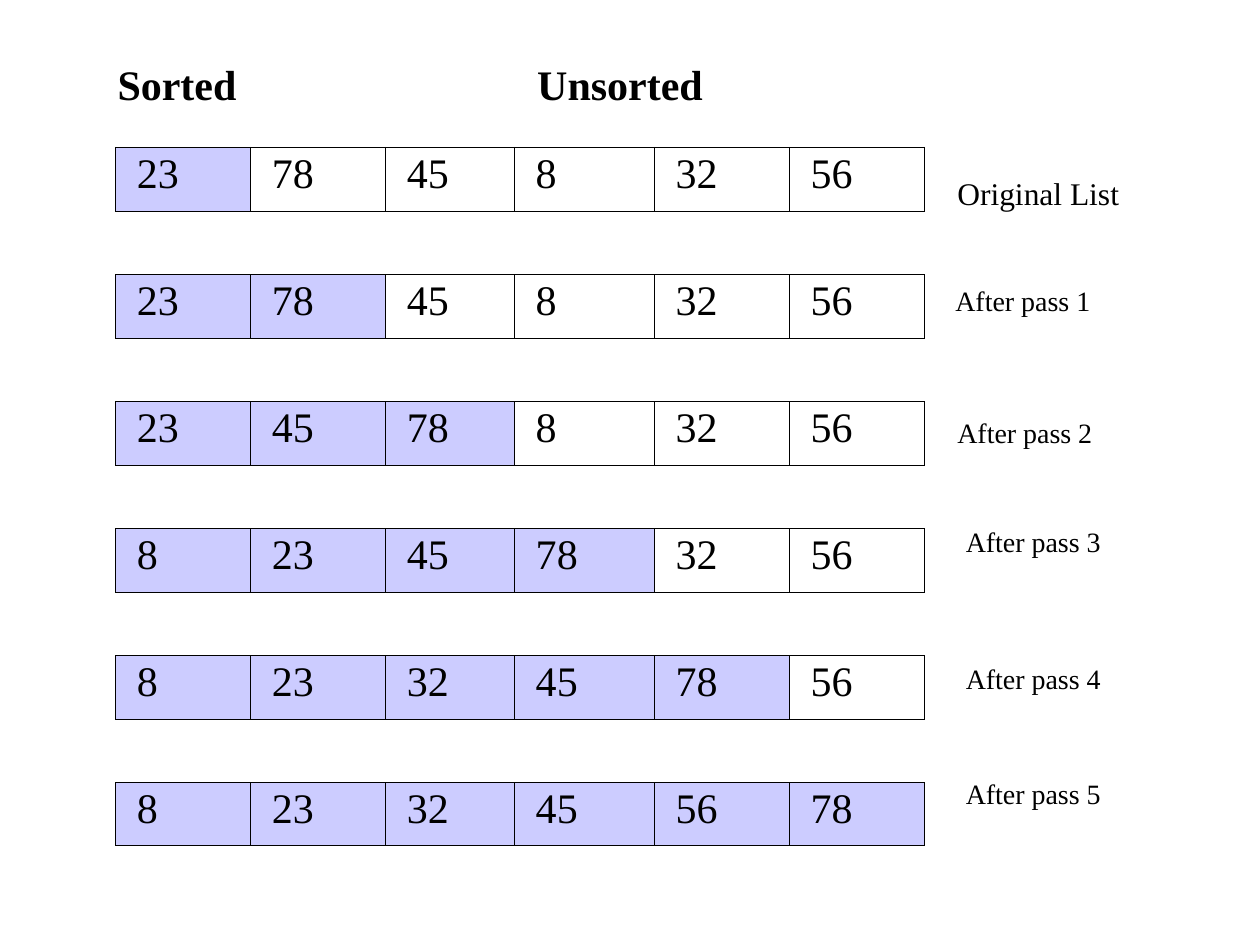
"""Builds a slide that traces an insertion sort pass by pass."""
from lxml import etree
from pptx import Presentation
from pptx.dml.color import RGBColor
from pptx.oxml.ns import qn
from pptx.util import Cm, Pt

FONT = "Times New Roman"
BLACK = "000000"
SORTED_FILL = "CCCCFF"
NO_STYLE = "{2D5ABB26-0587-4C30-8999-92F81FD0307C}"
NUMBERS = [23, 78, 45, 8, 32, 56]
COLUMN_WIDTHS = [2.72, 2.72, 2.6, 2.82, 2.72, 2.72]
ROW_HEIGHT = 1.28
ROW_COUNT = 2 * len(NUMBERS) - 1
THIN, THICK = 0.23, 0.5


def color(hex_value):
    """Turns a hex string into a colour."""
    return RGBColor.from_string(hex_value)


def write(frame, text, size, bold=False):
    """Puts one formatted line into a text frame."""
    frame.text = text
    font = frame.paragraphs[0].runs[0].font
    font.name, font.size, font.bold = FONT, Pt(size), bold
    font.color.rgb = color(BLACK)


deck = Presentation()
deck.slide_width, deck.slide_height = Cm(25.4), Cm(19.05)
page = deck.slides.add_slide(deck.slide_layouts[6])

texts = [
    ("Original List", 19.05, 3.39, 4.76, 0.95, 18, True, False),
    ("After pass 1", 19.26, 5.72, 4.76, 0.95, 16, False, False),
    ("After pass 2", 19.05, 8.25, 4.76, 0.95, 16, True, False),
    ("After pass 3", 19.47, 10.58, 4.76, 0.95, 16, False, False),
    ("After pass 4", 19.47, 13.34, 4.76, 0.95, 16, False, False),
    ("After pass 5", 19.47, 15.66, 4.76, 0.95, 16, False, False),
    ("Sorted", 2.12, 1.06, 4.02, 1.27, 24, True, True),
    ("Unsorted", 10.58, 1.06, 4.02, 1.27, 24, True, True),
]
for text, left, top, width, height, size, padded, bold in texts:
    box = page.shapes.add_textbox(Cm(left), Cm(top), Cm(width), Cm(height))
    frame = box.text_frame
    frame.word_wrap = True
    if not padded:
        frame.margin_left = frame.margin_right = 0
        frame.margin_top = frame.margin_bottom = 0
    write(frame, text, size, bold)

table_frame = page.shapes.add_table(
    ROW_COUNT, len(NUMBERS), Cm(2.33), Cm(2.97),
    Cm(sum(COLUMN_WIDTHS)), Cm(ROW_COUNT * ROW_HEIGHT))
table = table_frame.table
table.first_row = table.horz_banding = False
table_frame._element.find(".//" + qn("a:tableStyleId")).text = NO_STYLE
for column, width in zip(table.columns, COLUMN_WIDTHS):
    column.width = Cm(width)
for row in table.rows:
    row.height = Cm(ROW_HEIGHT)

last = len(NUMBERS) - 1
for step in range(len(NUMBERS)):
    sorted_count = step + 1
    values = sorted(NUMBERS[:sorted_count]) + NUMBERS[sorted_count:]
    for index, value in enumerate(values):
        cell = table.cell(2 * step, index)
        cell.margin_left = Cm(0.43)
        write(cell.text_frame, str(value), 24)
        cell.text_frame.paragraphs[0].line_spacing = 0.93
        if index < sorted_count:
            cell.fill.solid()
            cell.fill.fore_color.rgb = color(SORTED_FILL)
        else:
            cell.fill.background()
        outer_edges = {"L": index == 0, "R": index == last,
                       "T": step == 0, "B": step == last}
        properties = cell._tc.get_or_add_tcPr()
        for position, (side, outer) in enumerate(outer_edges.items()):
            line = etree.Element(qn(f"a:ln{side}"), w=str(Pt(THICK if outer else THIN)))
            fill = etree.SubElement(line, qn("a:solidFill"))
            etree.SubElement(fill, qn("a:srgbClr"), val=BLACK)
            properties.insert(position, line)

deck.save("out.pptx")
